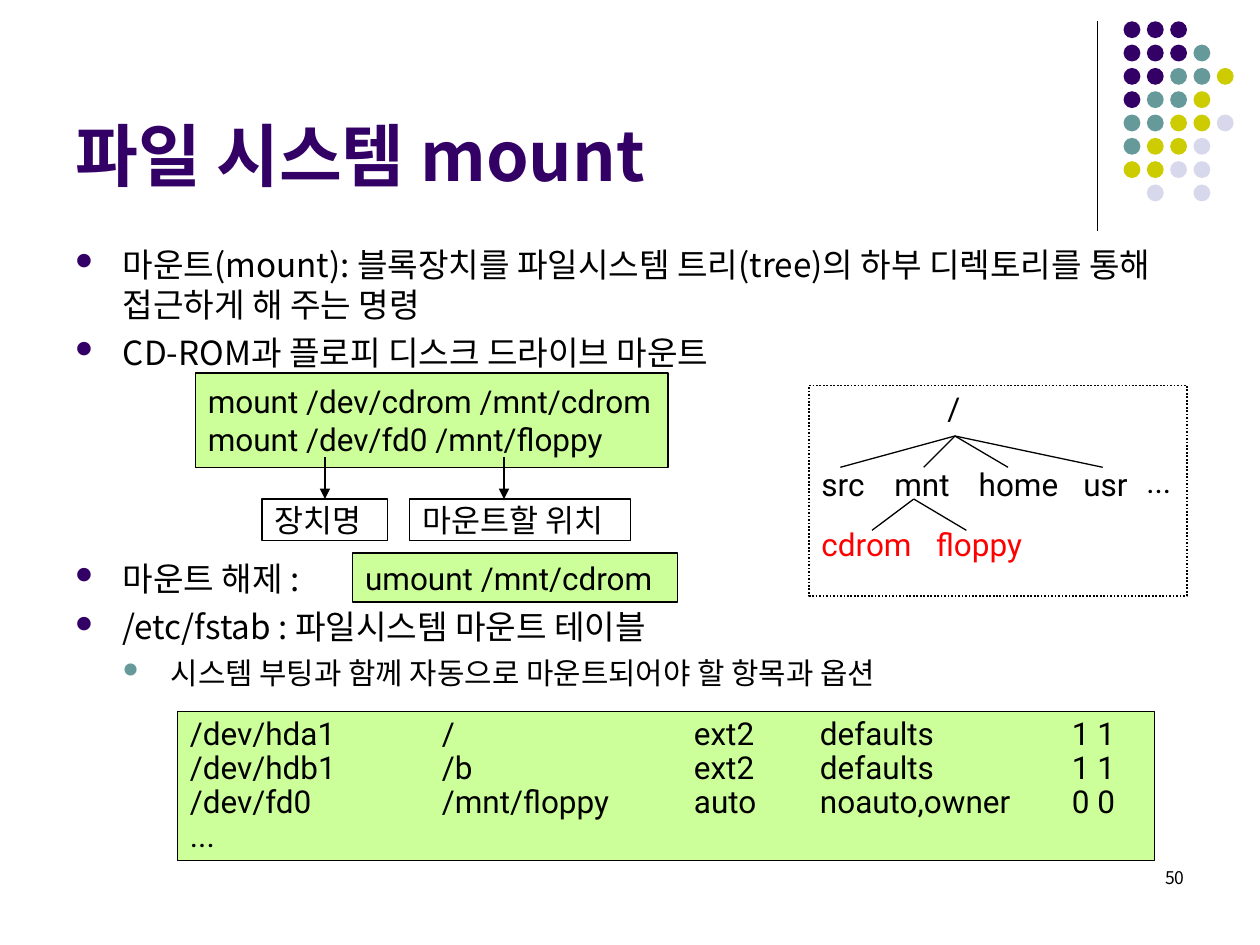
import lxml.etree
import pptx
import pptx.dml.color
import pptx.enum.dml
import pptx.enum.shapes
import pptx.enum.text
import pptx.oxml.ns
import pptx.util

Cm = pptx.util.Cm
Pt = pptx.util.Pt
qn = pptx.oxml.ns.qn
Anchor = pptx.enum.text.MSO_ANCHOR
Align = pptx.enum.text.PP_ALIGN
Preset = pptx.enum.shapes.MSO_SHAPE

COLORS = {"purple": "330066", "teal": "669999", "olive": "CCCC00", "lavender": "D8D8EC",
          "black": "000000", "white": "FFFFFF", "green": "CCFF99", "red": "FF0000"}
KOREAN, LATIN = "Noto Sans CJK KR", "Roboto"


def color(name):
    return pptx.dml.color.RGBColor.from_string(COLORS[name])


class SlideBuilder:
    """Draw styled elements on one slide."""

    def __init__(self, slide):
        self.slide = slide

    def format(self, paragraph, size, font=LATIN, ink="black", bold=False):
        paragraph.font.size = Pt(size)
        paragraph.font.bold = bold
        paragraph.font.name = font
        paragraph.font.color.rgb = color(ink)
        properties = paragraph._p.pPr.find(qn("a:defRPr"))
        lxml.etree.SubElement(properties, qn("a:ea"), typeface=KOREAN)

    def bullet(self, paragraph, ink, level):
        properties = paragraph._p.get_or_add_pPr()
        properties.set("marL", str(Cm(0.96 * (level + 1))))
        properties.set("indent", str(-Cm(0.96)))
        fill = lxml.etree.SubElement(properties, qn("a:buClr"))
        lxml.etree.SubElement(fill, qn("a:srgbClr"), val=COLORS[ink])
        lxml.etree.SubElement(properties, qn("a:buSzPct"), val="70000")
        lxml.etree.SubElement(properties, qn("a:buFont"), typeface="Wingdings", charset="2")
        lxml.etree.SubElement(properties, qn("a:buChar"), char="l")

    def tabs(self, paragraph, stops):
        properties = paragraph._p.get_or_add_pPr()
        tab_list = lxml.etree.SubElement(properties, qn("a:tabLst"))
        for stop in stops:
            lxml.etree.SubElement(tab_list, qn("a:tab"), pos=str(Cm(stop)), algn="l")

    def text_box(self, left, top, width, height):
        shape = self.slide.shapes.add_textbox(Cm(left), Cm(top), Cm(width), Cm(height))
        shape.text_frame.word_wrap = True
        return shape.text_frame

    def label(self, text, left, top, width, height, size=18, align=Align.LEFT, **style):
        frame = self.text_box(left, top, width, height)
        paragraph = frame.paragraphs[0]
        paragraph.text = text
        paragraph.alignment = align
        self.format(paragraph, size, **style)
        return frame

    def bullets(self, left, top, width, height, items):
        frame = self.text_box(left, top, width, height)
        for index, (text, level) in enumerate(items):
            paragraph = frame.paragraphs[0] if index == 0 else frame.add_paragraph()
            paragraph.text = text
            paragraph.level = level
            size, pitch, gap, ink = [(19, 22.8, 4.8, "purple"), (17, 20.8, 4.2, "teal")][level]
            paragraph.line_spacing = Pt(pitch)
            if index:
                paragraph.space_before = Pt(gap)
            self.bullet(paragraph, ink, level)
            self.format(paragraph, size, KOREAN)

    def shape(self, preset, left, top, width, height, fill=None, line=None, weight=0.75):
        shape = self.slide.shapes.add_shape(preset, Cm(left), Cm(top), Cm(width), Cm(height))
        shape.shadow.inherit = False
        if fill:
            shape.fill.solid()
            shape.fill.fore_color.rgb = color(fill)
        else:
            shape.fill.background()
        if line:
            shape.line.color.rgb = color(line)
            shape.line.width = Pt(weight)
        else:
            shape.line.fill.background()
        return shape

    def text_panel(self, lines, left, top, width, height, fill="green", stops=(), spacing=1.0):
        frame = self.shape(Preset.RECTANGLE, left, top, width, height, fill, "black").text_frame
        frame.word_wrap = True
        frame.vertical_anchor = Anchor.MIDDLE
        for index, text in enumerate(lines):
            paragraph = frame.paragraphs[0] if index == 0 else frame.add_paragraph()
            paragraph.text = text
            paragraph.alignment = Align.LEFT
            paragraph.line_spacing = spacing
            if stops:
                self.tabs(paragraph, stops)
            self.format(paragraph, 18)

    def line(self, x1, y1, x2, y2, arrow=False):
        connector = self.slide.shapes.add_connector(
            pptx.enum.shapes.MSO_CONNECTOR.STRAIGHT, Cm(x1), Cm(y1), Cm(x2), Cm(y2))
        connector.line.color.rgb = color("black")
        connector.line.width = Pt(0.75)
        if arrow:
            lxml.etree.SubElement(connector.line._get_or_add_ln(), qn("a:tailEnd"), type="triangle")
        lxml.etree.SubElement(connector._element.spPr, qn("a:effectLst"))

    def dots(self, left, top, pitch, diameter, rows):
        inks = {"P": "purple", "T": "teal", "Y": "olive", "L": "lavender"}
        for row, pattern in enumerate(rows):
            for column, key in enumerate(pattern):
                if key in inks:
                    self.shape(Preset.OVAL, left + column * pitch, top + row * pitch,
                               diameter, diameter, inks[key])


def main():
    presentation = pptx.Presentation()
    presentation.slide_width, presentation.slide_height = Cm(25.4), Cm(19.05)
    builder = SlideBuilder(presentation.slides.add_slide(presentation.slide_layouts[6]))

    builder.line(22.12, 0.43, 22.12, 4.65)
    builder.dots(22.65, 0.43, 0.47, 0.34,
                 ["PPP", "PPPT", "PPTTY", "PTTY", "TTYYL", "TYYL", "YYLL", " L L"])
    builder.label("50", 18.21, 17.35, 5.92, 1.27, 10, Align.RIGHT, font=KOREAN)
    title = builder.label("파일 시스템 mount", 1.27, 0.33, 20.96, 3.61, 39,
                          font=KOREAN, ink="purple", bold=True)
    title.vertical_anchor = Anchor.BOTTOM
    title.margin_bottom = 0

    builder.bullets(1.27, 4.8, 22.6, 3, [
        ("마운트(mount): 블록장치를 파일시스템 트리(tree)의 하부 디렉토리를 통해 접근하게 해 주는 명령", 0),
        ("CD-ROM과 플로피 디스크 드라이브 마운트", 0)])
    builder.bullets(1.27, 11.13, 22.6, 3, [
        ("마운트 해제 :", 0),
        ("/etc/fstab : 파일시스템 마운트 테이블", 0),
        ("시스템 부팅과 함께 자동으로 마운트되어야 할 항목과 옵션", 1)])

    tree_labels = [
        ("/", 18.85, 7.72, 0.84, 1.02, "black"),
        ("src", 16.31, 9.25, 1.7, 1.02, "black"),
        ("mnt", 17.78, 9.25, 1.7, 1.78, "black"),
        ("home", 19.48, 9.25, 2.11, 1.78, "black"),
        ("usr", 21.59, 9.25, 1.7, 1.02, "black"),
        ("...", 22.86, 9.19, 1.7, 1.02, "black"),
        ("cdrom", 16.31, 10.46, 2.34, 1.78, "red"),
        ("floppy", 18.62, 10.46, 2.34, 1.78, "red")]
    for text, left, top, width, height, ink in tree_labels:
        builder.label(text, left, top, width, height, ink=ink).margin_right = 0
    branches = [(19.25, 8.79, (16.94, 18.62, 20.32, 22.23)), (18.42, 10.06, (17.58, 19.48))]
    for x, y, children in branches:
        for child in children:
            builder.line(x, y, child, y + 0.63)
    border = builder.shape(Preset.RECTANGLE, 16.31, 7.77, 7.62, 4.24, line="black", weight=1)
    border.line.dash_style = pptx.enum.dml.MSO_LINE.ROUND_DOT

    builder.text_panel(["mount /dev/cdrom /mnt/cdrom", "mount /dev/fd0 /mnt/floppy"],
                       3.94, 7.52, 9.53, 1.9)
    builder.text_panel(["장치명"], 5.28, 10.06, 2.54, 0.84, "white")
    builder.text_panel(["마운트할 위치"], 8.26, 10.06, 4.45, 0.84, "white")
    for x in (6.55, 10.16):
        builder.line(x, 9.22, x, 10.06, arrow=True)
    builder.text_panel(["umount /mnt/cdrom"], 7.11, 11.15, 6.55, 0.99)
    builder.text_panel([
        "/dev/hda1\t/\text2\tdefaults\t1 1",
        "/dev/hdb1\t/b\text2\tdefaults\t1 1",
        "/dev/fd0\t/mnt/floppy\tauto\tnoauto,owner\t0 0",
        "..."], 3.58, 14.35, 19.69, 3, stops=(5.08, 10.16, 12.7, 17.78), spacing=0.9)

    presentation.save("out.pptx")


if __name__ == "__main__":
    main()
